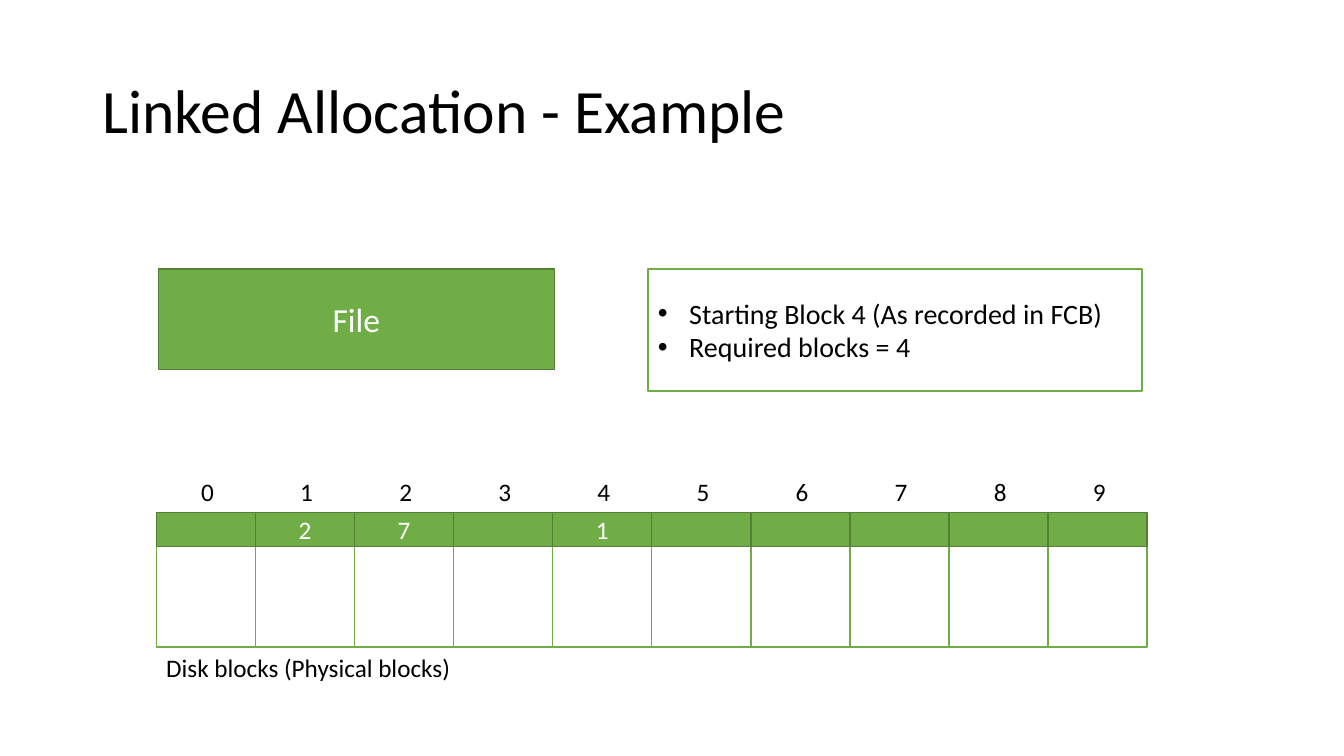
from lxml.etree import SubElement
from pptx import Presentation
from pptx.dml.color import RGBColor
from pptx.enum.shapes import MSO_SHAPE
from pptx.enum.text import MSO_ANCHOR, PP_ALIGN
from pptx.oxml.ns import qn
from pptx.util import Cm, Pt

BLACK = RGBColor(0x00, 0x00, 0x00)
WHITE = RGBColor(0xFF, 0xFF, 0xFF)
GREEN = RGBColor(0x70, 0xAD, 0x47)
DARK = RGBColor(0x53, 0x80, 0x35)

LINKS = {1: "2", 2: "7", 4: "1"}
COUNT = 10


def write(shape, text, size=18, color=BLACK, align=PP_ALIGN.LEFT,
          anchor=MSO_ANCHOR.TOP, wrap=True, space=None, bullet=False):
    """Fill a shape with text, one paragraph per line."""
    frame = shape.text_frame
    frame.word_wrap = wrap
    frame.vertical_anchor = anchor
    frame.text = text
    for para in frame.paragraphs:
        para.alignment = align
        para.line_spacing = space
        font = para.runs[0].font
        font.name, font.size = "Calibri", Pt(size)
        font.color.rgb = color
        if bullet:
            props = para._p.get_or_add_pPr()
            props.set("marL", str(Cm(0.79)))
            props.set("indent", str(-Cm(0.79)))
            SubElement(props, qn("a:buFont"), typeface="Arial")
            SubElement(props, qn("a:buChar"), char="•")


def add_text(slide, box, text, **style):
    area = slide.shapes.add_textbox(*map(Cm, box))
    write(area, text, **style)


def add_rect(slide, box, fill, line):
    rect = slide.shapes.add_shape(MSO_SHAPE.RECTANGLE, *map(Cm, box))
    rect.shadow.inherit = False
    rect.fill.solid()
    rect.fill.fore_color.rgb = fill
    rect.line.color.rgb = line
    rect.line.width = Pt(1)
    return rect


def draw_title(slide, box):
    add_text(slide, box, "Linked Allocation - Example", size=44,
             anchor=MSO_ANCHOR.MIDDLE, space=0.9)


def draw_file(slide, box):
    rect = add_rect(slide, box, GREEN, DARK)
    write(rect, "File", size=24, color=WHITE, align=PP_ALIGN.CENTER,
          anchor=MSO_ANCHOR.MIDDLE)


def draw_facts(slide, box):
    rect = add_rect(slide, box, WHITE, GREEN)
    write(rect, "Starting Block 4 (As recorded in FCB)\nRequired blocks = 4",
          size=20, anchor=MSO_ANCHOR.MIDDLE, bullet=True)


def draw_disk(slide, box):
    """Numbers on top, then link cells, data cells and a caption."""
    left, top, width, height = box
    step = width / COUNT
    label, link, note = 1.02, 0.86, 1.02
    data = height - label - link - note
    for block in range(COUNT):
        x = left + block * step
        y = top + label
        add_rect(slide, (x, y + link, step, data), WHITE, GREEN)
        # The number box is centred over its cell
        add_text(slide, (x + step / 2 - 0.37, top, 0.84, label), str(block),
                 wrap=False)
        cell = add_rect(slide, (x, y, step, link), GREEN, DARK)
        if block in LINKS:
            write(cell, LINKS[block], color=WHITE, align=PP_ALIGN.CENTER,
                  anchor=MSO_ANCHOR.MIDDLE)
    add_text(slide, (left, top + height - note, 7.75, note),
             "Disk blocks (Physical blocks)", wrap=False)


def main():
    deck = Presentation()
    deck.slide_width, deck.slide_height = Cm(33.87), Cm(19.05)
    slide = deck.slides.add_slide(deck.slide_layouts[6])
    draw_title(slide, (2.33, 1.01, 29.21, 3.68))
    draw_disk(slide, (3.94, 11.89, 24.97, 5.44))
    draw_file(slide, (3.99, 6.78, 9.98, 2.54))
    draw_facts(slide, (16.33, 6.78, 12.45, 3.07))
    deck.save("out.pptx")


if __name__ == "__main__":
    main()
